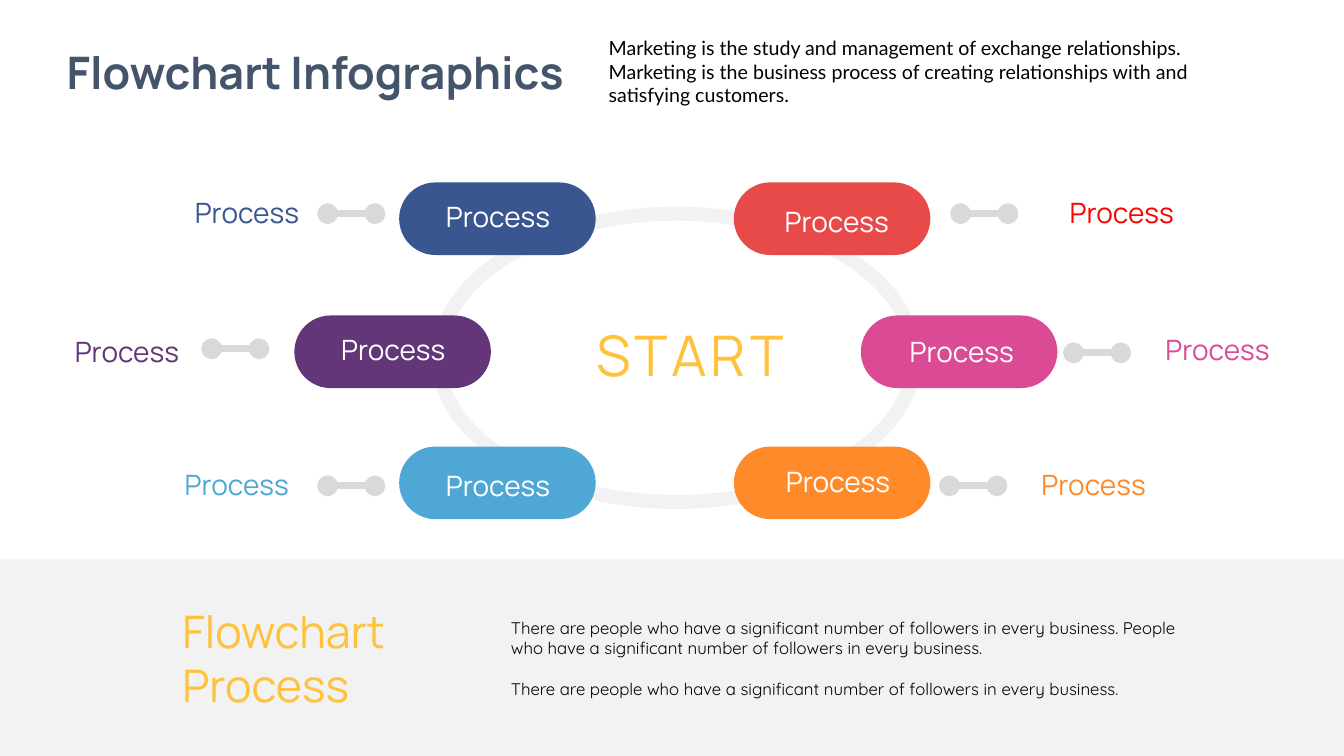
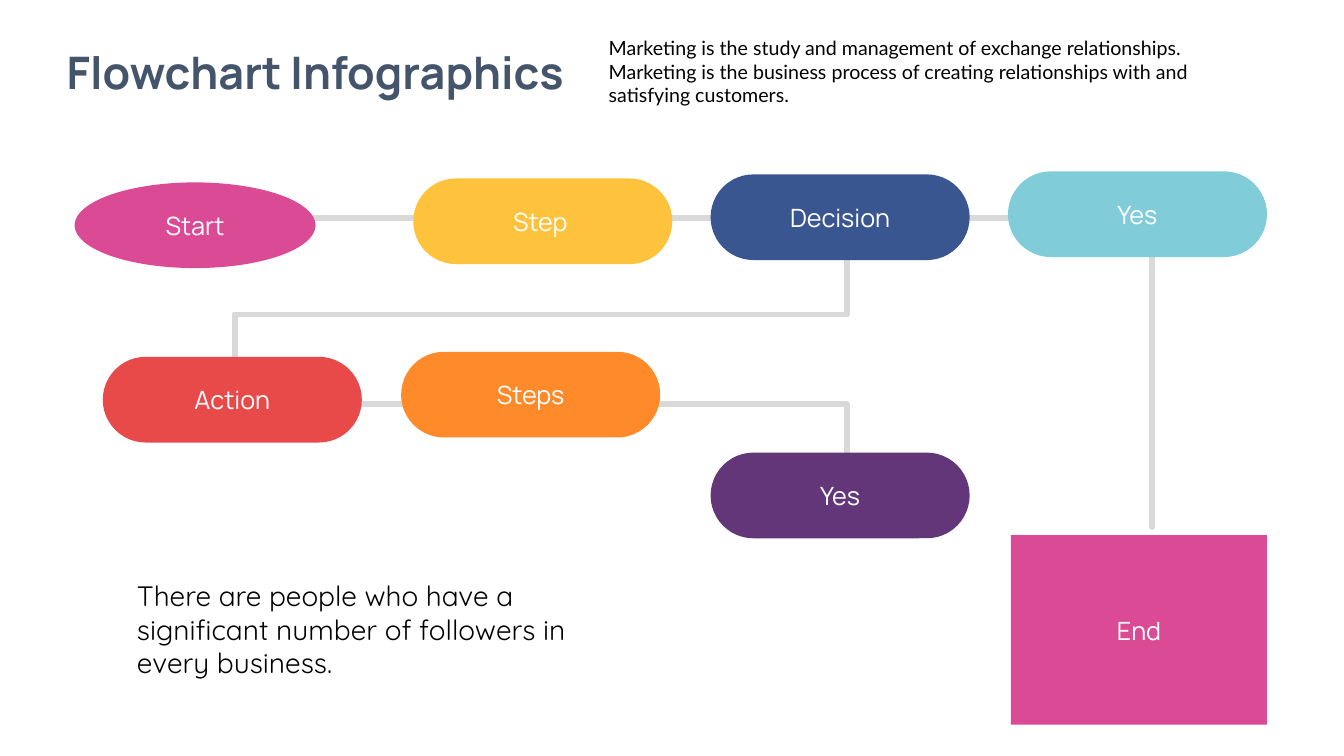
from typing import NamedTuple

from lxml.etree import SubElement
from pptx import Presentation
from pptx.dml.color import RGBColor
from pptx.enum.shapes import MSO_CONNECTOR, MSO_SHAPE as SHAPE
from pptx.enum.text import MSO_ANCHOR, MSO_AUTO_SIZE, PP_ALIGN as ALIGN
from pptx.oxml.ns import qn
from pptx.util import Inches, Pt

COLS = 40
UNIT = Inches(40 / 3) / COLS
ROWS = 22.5
PAD_X, PAD_Y = 0.3, 0.15
COLORS = {
    "navy": "3A5691", "red": "E84A4A", "pink": "DB4B95", "orange": "FF8A29",
    "sky": "4FA7D6", "purple": "623678", "yellow": "FFC23D", "aqua": "80CDD9",
    "pure_red": "FF0000", "slate": "44546A", "black": "000000",
    "white": "FFFFFF", "pale": "F2F2F2", "gray": "D9D9D9",
}
HEAD_FONT, INTRO_FONT, BODY_FONT = "Manrope", "Lato", "Quicksand"
FOLLOWERS = "There are people who have a significant number of followers in every business."
INTRO = ("Marketing is the study and management of exchange relationships. "
         "Marketing is the business process of creating relationships with and satisfying customers.")


class Box(NamedTuple):
    """Left, top, width and height in grid units."""
    x: float
    y: float
    w: float
    h: float


class Branch(NamedTuple):
    """A pill on the ring with the nudge of its text, its link and its outer label."""
    color: str
    pill: tuple[float, float]
    nudge: tuple[float, float]
    link: tuple[float, float]
    label: tuple[float, float]
    label_color: str


class Node(NamedTuple):
    """A flowchart step."""
    text: str
    color: str
    box: Box
    kind: SHAPE = SHAPE.ROUNDED_RECTANGLE


PILL_W, PILL_H = 5.85, 2.16
LABEL_W, LABEL_H = 3.9, 1.02
LINK_W = 1.41
NODE_W, NODE_H = 7.71, 2.55
NODE_X = [12.3 + 8.85 * k for k in range(3)]
BRANCHES = [
    Branch("navy", (11.88, 5.43), (0.02, -0.06), (9.75, 6.36), (5.4, 5.82), "navy"),
    Branch("red", (21.84, 5.43), (0.14, 0.09), (28.59, 6.36), (31.44, 5.82), "pure_red"),
    Branch("pink", (25.62, 9.39), (0.08, 0), (31.95, 10.5), (34.29, 9.9), "pink"),
    Branch("orange", (21.84, 13.29), (0.18, -0.06), (28.26, 14.46), (30.6, 13.92), "orange"),
    Branch("sky", (11.88, 13.29), (0.02, 0.06), (9.75, 14.46), (5.1, 13.92), "sky"),
    Branch("purple", (8.76, 9.39), (0.02, -0.06), (6.3, 10.38), (1.83, 9.96), "purple"),
]
NODES = [
    Node("Start", "pink", Box(2.22, 5.43, 7.17, NODE_H), SHAPE.OVAL),
    Node("Step ", "yellow", Box(NODE_X[0], 5.31, NODE_W, NODE_H)),
    Node("Decision", "navy", Box(NODE_X[1], 5.19, NODE_W, NODE_H)),
    Node("Yes", "aqua", Box(NODE_X[2], 5.1, NODE_W, NODE_H)),
    Node("Action", "red", Box(3.06, 10.62, NODE_W, NODE_H)),
    Node("Steps", "orange", Box(11.94, 10.47, NODE_W, NODE_H)),
    Node("Yes", "purple", Box(NODE_X[1], 13.47, NODE_W, NODE_H)),
    Node("End", "pink", Box(30.09, 15.93, 7.62, 5.64), SHAPE.RECTANGLE),
]
ROUTES = [
    [(6.42, 6.48), (33.57, 6.48)],
    [(25.2, 6.48), (25.2, 9.36), (6.99, 9.36), (6.99, 11.25)],
    [(9.39, 12.03), (25.2, 12.03), (25.2, 13.71)],
    [(34.29, 6.81), (34.29, 15.69)],
]


def grid(n: float) -> int:
    """Turn grid units into EMU."""
    return round(n * UNIT)


def rgb(name: str) -> RGBColor:
    """Look up a named colour."""
    return RGBColor.from_string(COLORS[name])


def write(tf, text: str, *, size: float, font: str = HEAD_FONT, color: str = "black",
          bold: bool = False, align: ALIGN = ALIGN.LEFT, gap: float = 0, spacing: int = 0) -> None:
    """Fill a text frame, one paragraph per line of text."""
    tf.word_wrap = True
    for i, line in enumerate(text.split("\n")):
        p = tf.paragraphs[0] if i == 0 else tf.add_paragraph()
        p.alignment = align
        if i:
            p.space_before = Pt(gap)
        r = p.add_run()
        r.text = line
        r.font.size, r.font.name, r.font.bold = Pt(size), font, bold
        r.font.color.rgb = rgb(color)
        if spacing:
            r.font._element.set("spc", str(spacing * 100))


def set_margins(tf, left: float, top: float, right: float, bottom: float) -> None:
    """Set the insets of a text frame in grid units."""
    tf.margin_left, tf.margin_top = grid(left), grid(top)
    tf.margin_right, tf.margin_bottom = grid(right), grid(bottom)


def add_text(s, box: Box, text: str, *, padded: bool = True, **fmt) -> None:
    """Add a text box that grows with its text."""
    tf = s.shapes.add_textbox(*map(grid, box)).text_frame
    px, py = (PAD_X, PAD_Y) if padded else (0, 0)
    set_margins(tf, px, py, px, py)
    tf.auto_size = MSO_AUTO_SIZE.SHAPE_TO_FIT_TEXT
    write(tf, text, **fmt)


def add_shape(s, kind: SHAPE, box: Box, fill: str = "", line: str = "", width: float = 0):
    """Add a flat shape with an optional fill and outline."""
    sp = s.shapes.add_shape(kind, *map(grid, box))
    sp.shadow.inherit = False
    if kind == SHAPE.ROUNDED_RECTANGLE:
        sp.adjustments[0] = 0.5
    if fill:
        sp.fill.solid()
        sp.fill.fore_color.rgb = rgb(fill)
    else:
        sp.fill.background()
    if line:
        sp.line.color.rgb, sp.line.width = rgb(line), Pt(width)
    else:
        sp.line.fill.background()
    return sp


def add_line(s, start: tuple, end: tuple, width: float, dots: bool = False) -> None:
    """Add a gray line, with round dots or round caps at its ends."""
    c = s.shapes.add_connector(MSO_CONNECTOR.STRAIGHT, *map(grid, (*start, *end)))
    c.line.color.rgb, c.line.width = rgb("gray"), Pt(width)
    ln = c.line._get_or_add_ln()
    if dots:
        for tag in ("a:headEnd", "a:tailEnd"):
            SubElement(ln, qn(tag)).set("type", "oval")
    else:
        ln.set("cap", "rnd")
    SubElement(c._element.spPr, qn("a:effectLst"))


def add_slide(prs):
    """Add a blank slide with the shared title and introduction."""
    s = prs.slides.add_slide(prs.slide_layouts[6])
    add_text(s, Box(0.96, 1.17, 16.86, 1.92), "Flowchart Infographics", size=32,
             color="slate", bold=True, align=ALIGN.CENTER)
    add_text(s, Box(17.82, 0.93, 18.9, 2.43), INTRO, size=14, font=INTRO_FONT)
    return s


def add_branch(s, b: Branch) -> None:
    """Draw a pill, its dotted link and its outer label."""
    sp = add_shape(s, SHAPE.ROUNDED_RECTANGLE, Box(*b.pill, PILL_W, PILL_H), b.color)
    dx, dy = b.nudge
    tf = sp.text_frame
    set_margins(tf, 2 * dx, max(2 * dy, 0), 0, max(-2 * dy, 0))
    tf.vertical_anchor = MSO_ANCHOR.MIDDLE
    write(tf, "Process", size=20, color="white", align=ALIGN.CENTER)
    add_text(s, Box(*b.label, LABEL_W, LABEL_H), "Process", padded=False, size=20,
             color=b.label_color, align=ALIGN.CENTER)
    x, y = b.link
    add_line(s, (x, y), (x + LINK_W, y), 5, dots=True)


def add_node(s, n: Node) -> None:
    """Draw a flowchart step with centred text."""
    tf = add_shape(s, n.kind, n.box, n.color).text_frame
    tf.vertical_anchor = MSO_ANCHOR.MIDDLE
    write(tf, n.text, size=18, color="white", align=ALIGN.CENTER)


def build_ring(prs) -> None:
    """Build the slide with six processes around a ring."""
    s = add_slide(prs)
    add_shape(s, SHAPE.RECTANGLE, Box(0, 16.65, COLS, ROWS - 16.65), "pale")
    add_text(s, Box(14.91, 18.24, 20.43, 2.73),
             f"{FOLLOWERS} {FOLLOWERS.replace('There are people', 'People')}\n{FOLLOWERS}",
             size=12, font=BODY_FONT, gap=14.4)
    add_text(s, Box(5.43, 17.97, 8.28, 3.24), "Flowchart Process", padded=False,
             size=32, color="yellow")
    add_shape(s, SHAPE.OVAL, Box(13.05, 6.36, 14.16, 8.58), line="pale", width=10)
    add_text(s, Box(17.61, 9.54, 5.85, 2.01), "START", padded=False, size=40,
             color="yellow", align=ALIGN.CENTER, spacing=3)
    for b in BRANCHES:
        add_branch(s, b)


def build_flow(prs) -> None:
    """Build the slide with the step by step flowchart."""
    s = add_slide(prs)
    for route in ROUTES:
        for start, end in zip(route, route[1:]):
            add_line(s, start, end, 4)
    add_text(s, Box(3.78, 17.07, 14.04, 3.33), FOLLOWERS, size=20, font=BODY_FONT)
    for n in NODES:
        add_node(s, n)


def main() -> None:
    """Build and save the presentation."""
    prs = Presentation()
    prs.slide_width, prs.slide_height = grid(COLS), grid(ROWS)
    build_ring(prs)
    build_flow(prs)
    prs.save("out.pptx")


if __name__ == "__main__":
    main()
